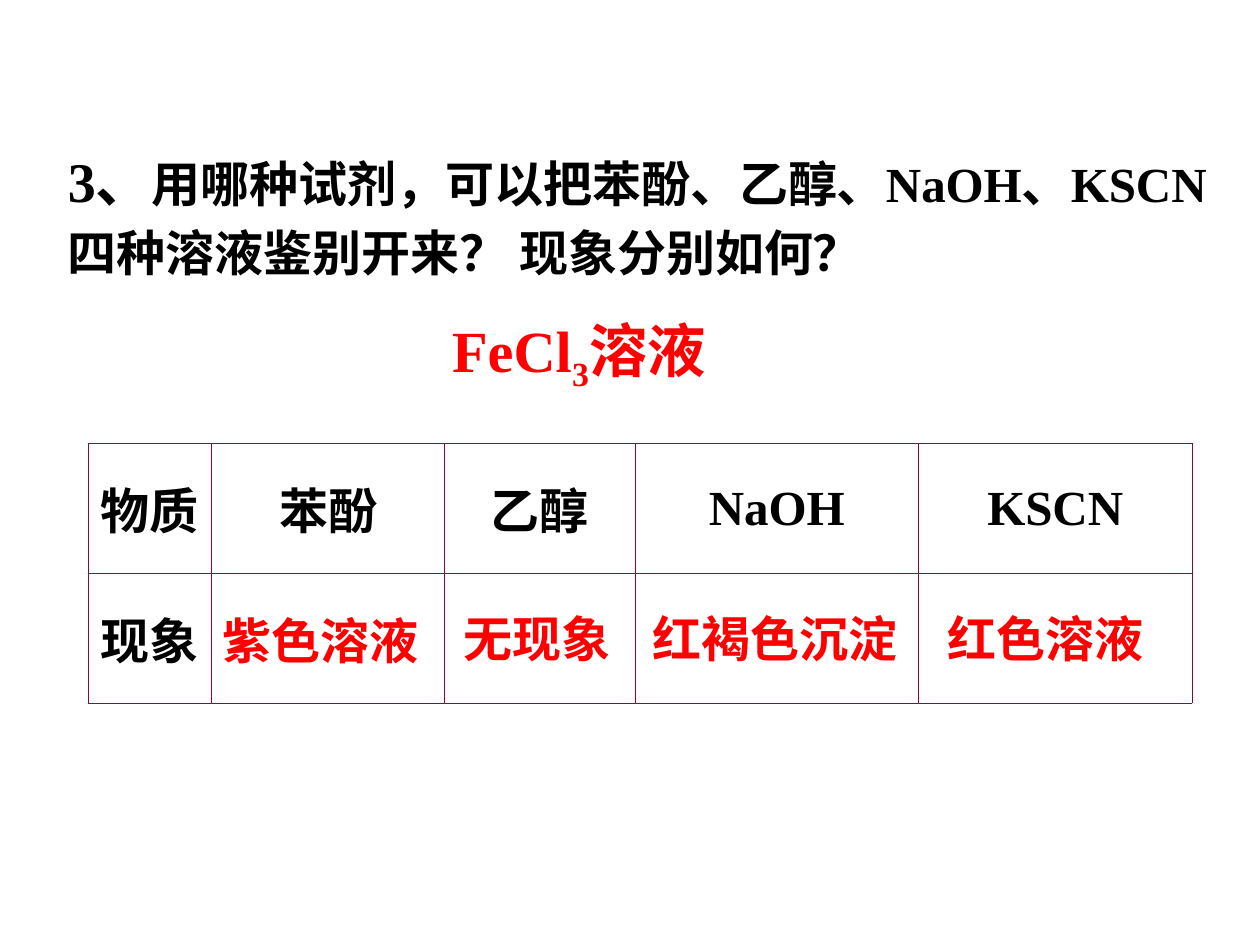
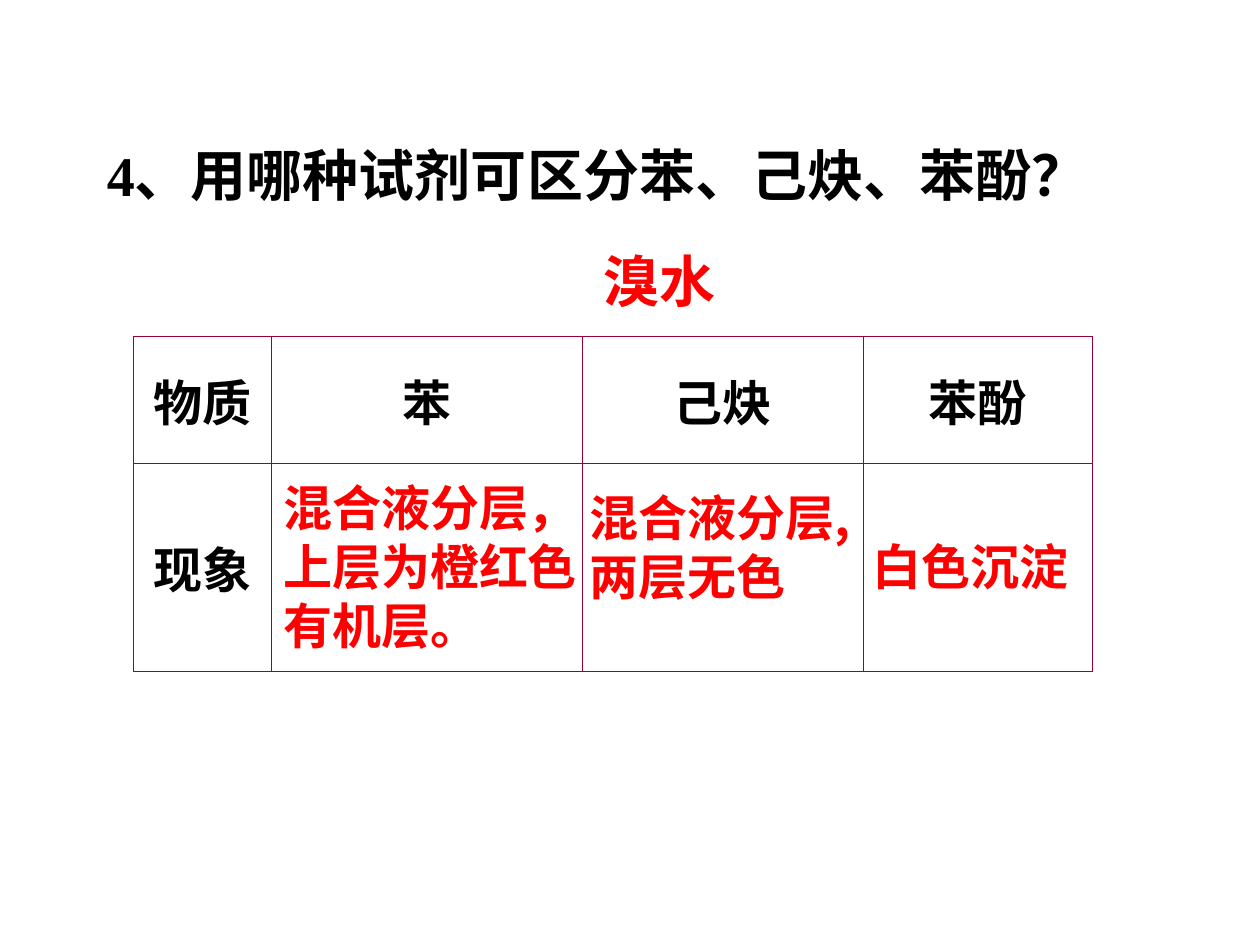
import dataclasses

import lxml.etree
import pptx
import pptx.dml.color
import pptx.enum.text
import pptx.oxml.ns
import pptx.util

Inches = pptx.util.Inches
Pt = pptx.util.Pt


@dataclasses.dataclass(frozen=True)
class Theme:
    ink: str = "000000"
    answer: str = "FF0000"
    rule: str = "990033"
    rule_width: float = 0.45
    latin: str = "Times New Roman"
    chinese: str = "Noto Sans CJK SC"
    body: float = 28
    question: float = 32
    reagent: float = 33.3


THEME = Theme()


def add_child(parent, tag, **attributes):
    return lxml.etree.SubElement(parent, pptx.oxml.ns.qn(tag), attributes)


def write_text(para, text, size=THEME.body, color=THEME.ink, face=THEME.chinese, baseline=0):
    span = para.add_run()
    span.text = text
    span.font.size = Pt(size)
    span.font.bold = True
    span.font.name = face
    span.font.color.rgb = pptx.dml.color.RGBColor.from_string(color)
    properties = span._r.get_or_add_rPr()
    add_child(properties, "a:ea", typeface=THEME.chinese)
    if baseline:
        properties.set("baseline", str(baseline * 1000))


def add_box(page, left, top, width, height, spacing=None, grow=True):
    box = page.shapes.add_textbox(Inches(left), Inches(top), Inches(width), Inches(height))
    frame = box.text_frame
    frame.word_wrap = True
    if grow:
        frame.auto_size = pptx.enum.text.MSO_AUTO_SIZE.SHAPE_TO_FIT_TEXT
    para = frame.paragraphs[0]
    if spacing:
        para.line_spacing = spacing
    return frame


def add_answer(page, lines, left, top, width, height, size=THEME.body):
    frame = add_box(page, left, top, width, height)
    for index, line in enumerate(lines):
        para = frame.add_paragraph() if index else frame.paragraphs[0]
        write_text(para, line, size=size, color=THEME.answer)


def rule_cell(cell):
    properties = cell._tc.get_or_add_tcPr()
    for index, side in enumerate(("a:lnL", "a:lnR", "a:lnT", "a:lnB")):
        line = lxml.etree.Element(pptx.oxml.ns.qn(side), w=str(int(Pt(THEME.rule_width))))
        fill = add_child(line, "a:solidFill")
        add_child(fill, "a:srgbClr", val=THEME.rule)
        properties.insert(index, line)


def add_grid(page, left, top, widths, heights, substances):
    frame = page.shapes.add_table(
        len(heights), len(widths), Inches(left), Inches(top),
        Inches(sum(widths)), Inches(sum(heights)))
    table = frame.table
    table.first_row = False
    table.horz_banding = False
    for column, width in zip(table.columns, widths):
        column.width = Inches(width)
    for row, height in zip(table.rows, heights):
        row.height = Inches(height)
    for cell in table.iter_cells():
        cell.fill.background()
        cell.vertical_anchor = pptx.enum.text.MSO_ANCHOR.MIDDLE
        rule_cell(cell)
    labels = [(0, column, name) for column, name in enumerate(["物质", *substances])]
    for row, column, label in [*labels, (1, 0, "现象")]:
        para = table.cell(row, column).text_frame.paragraphs[0]
        para.alignment = pptx.enum.text.PP_ALIGN.CENTER
        write_text(para, label, face=THEME.latin if label.isascii() else THEME.chinese)


def build_four_solutions(page):
    question = add_box(page, 0.44, 1.03, 9.29, 1.25, spacing=1.15).paragraphs[0]
    write_text(question, "3、", size=THEME.question, face=THEME.latin)
    write_text(question, "用哪种试剂，可以把苯酚、乙醇、NaOH、KSCN四种溶液鉴别开来？ 现象分别如何？",
               face=THEME.latin)

    reagent = add_box(page, 3.49, 2.41, 2.75, 0.75, spacing=1.05, grow=False).paragraphs[0]
    for text, baseline in (("FeCl", 0), ("3", -25), ("溶液", 0)):
        write_text(reagent, text, size=THEME.reagent, color=THEME.answer,
                   face=THEME.latin, baseline=baseline)

    add_grid(page, 0.7, 3.52, [0.98, 1.85, 1.51, 2.25, 2.17], [1.03, 1.03],
             ["苯酚", "乙醇", "NaOH", "KSCN"])
    for text, left, top, width in (
            ("紫色溶液", 1.67, 4.8, 1.83),
            ("无现象", 3.58, 4.78, 1.67),
            ("红褐色沉淀", 5.08, 4.78, 2.17),
            ("红色溶液", 7.42, 4.78, 1.83)):
        add_answer(page, [text], left, top, width, 0.57)


def build_three_liquids(page):
    question = add_box(page, 0.75, 1.07, 8.66, 0.64).paragraphs[0]
    write_text(question, "4、用哪种试剂可区分苯、己炔、苯酚？", size=THEME.question, face=THEME.latin)
    add_answer(page, ["溴水"], 4.69, 1.91, 1.75, 0.64, size=THEME.question)
    add_grid(page, 1.06, 2.67, [1.09, 2.47, 2.23, 1.82], [1.01, 1.65],
             ["苯", "己炔", "苯酚"])
    add_answer(page, ["白色沉淀"], 6.83, 4.21, 2, 0.57)
    add_answer(page, ["混合液分层，上层为橙红色有机层。"], 2.15, 3.74, 2.85, 1.5)
    add_answer(page, ["混合液分层,", "两层无色"], 4.58, 3.82, 2.67, 1.04)


def main():
    deck = pptx.Presentation()
    deck.slide_width = Inches(10)
    deck.slide_height = Inches(7.5)
    for build in (build_four_solutions, build_three_liquids):
        build(deck.slides.add_slide(deck.slide_layouts[6]))
    deck.save("out.pptx")


if __name__ == "__main__":
    main()
